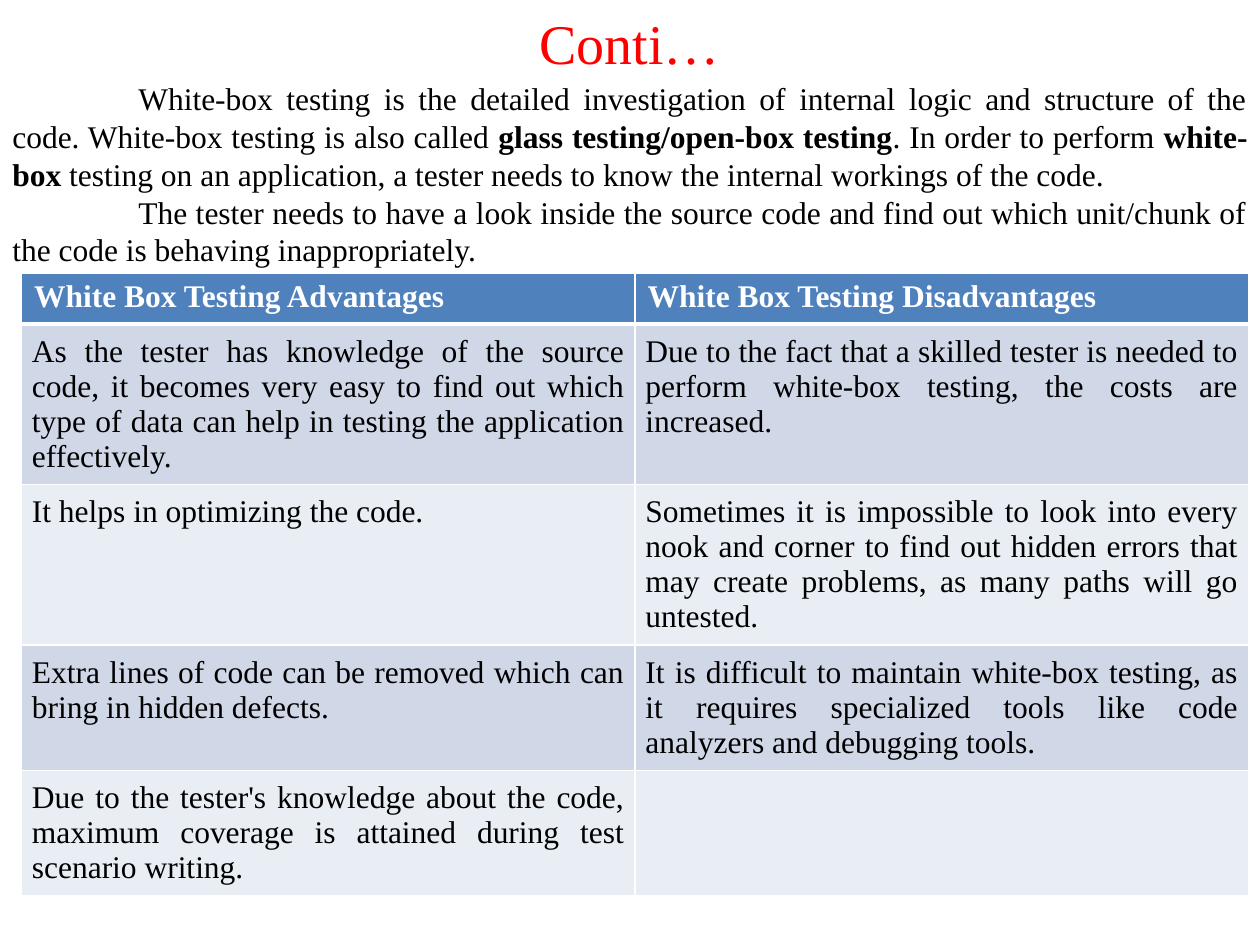
from pptx import Presentation
from pptx.dml.color import RGBColor
from pptx.enum.text import MSO_ANCHOR, MSO_AUTO_SIZE, PP_ALIGN
from pptx.oxml import parse_xml
from pptx.oxml.ns import nsdecls
from pptx.util import Inches, Pt

FONT = "Times New Roman"
COLORS = {
    "title": "FF0000",
    "text": "000000",
    "border": "FFFFFF",
    "header_text": "FFFFFF",
    "header": "4F81BD",
    "odd_row": "D0D8E8",
    "even_row": "E9EDF4",
}

TITLE = "Conti…"
# Paragraphs of (text, bold) runs
INTRO = [
    [
        ("\tWhite-box testing is the detailed investigation of internal logic and "
         "structure of the code. White-box testing is also called ", False),
        ("glass testing/open-box testing", True),
        (". In order to perform ", False),
        ("white-box", True),
        (" testing on an application, a tester needs to know the internal "
         "workings of the code.", False),
    ],
    [
        ("\tThe tester needs to have a look inside the source code and find out "
         "which unit/chunk of the code is behaving inappropriately.", False),
    ],
]
ROWS = [
    ("White Box Testing Advantages", "White Box Testing Disadvantages"),
    ("As the tester has knowledge of the source code, it becomes very easy to find "
     "out which type of data can help in testing the application effectively.",
     "Due to the fact that a skilled tester is needed to perform white-box testing, "
     "the costs are increased."),
    ("It helps in optimizing the code.",
     "Sometimes it is impossible to look into every nook and corner to find out "
     "hidden errors that may create problems, as many paths will go untested."),
    ("Extra lines of code can be removed which can bring in hidden defects.",
     "It is difficult to maintain white-box testing, as it requires specialized "
     "tools like code analyzers and debugging tools."),
    ("Due to the tester's knowledge about the code, maximum coverage is attained "
     "during test scenario writing.", ""),
]
COLUMN_WIDTH = 4.87
ROW_HEIGHT = 0.4
CELL_MARGIN = Pt(6)
TAB_WIDTH = 1


def add_run(paragraph, text, size, color, bold=False):
    run = paragraph.add_run()
    run.text = text
    run.font.name = FONT
    run.font.size = Pt(size)
    run.font.bold = bold
    run.font.color.rgb = RGBColor.from_string(COLORS[color])


def set_borders(cell, bottom_width):
    properties = cell._tc.get_or_add_tcPr()
    widths = {"lnL": 1, "lnR": 1, "lnT": 1, "lnB": bottom_width}
    for position, (side, width) in enumerate(widths.items()):
        properties.insert(position, parse_xml(
            f'<a:{side} {nsdecls("a")} w="{Pt(width)}"><a:solidFill>'
            f'<a:srgbClr val="{COLORS["border"]}"/></a:solidFill></a:{side}>'))


def add_title(slide):
    title = slide.shapes.title
    title.left, title.top = Inches(0.5), Inches(0)
    title.width, title.height = Inches(9), Inches(0.67)
    title.text_frame.vertical_anchor = MSO_ANCHOR.MIDDLE
    paragraph = title.text_frame.paragraphs[0]
    paragraph.alignment = PP_ALIGN.CENTER
    add_run(paragraph, TITLE, 32, "title")


def add_comparison(slide):
    table = slide.shapes.add_table(
        len(ROWS), 2, Inches(0.17), Inches(2.17),
        Inches(2 * COLUMN_WIDTH), Inches(len(ROWS) * ROW_HEIGHT)).table
    for column in table.columns:
        column.width = Inches(COLUMN_WIDTH)
    for row_index, texts in enumerate(ROWS):
        is_header = row_index == 0
        fill = "header" if is_header else ("odd_row" if row_index % 2 else "even_row")
        for column_index, text in enumerate(texts):
            cell = table.cell(row_index, column_index)
            cell.fill.solid()
            cell.fill.fore_color.rgb = RGBColor.from_string(COLORS[fill])
            set_borders(cell, 3 if is_header else 1)
            if not text:
                continue
            if not is_header:
                cell.margin_left = cell.margin_right = CELL_MARGIN
                cell.margin_top = cell.margin_bottom = CELL_MARGIN
            paragraph = cell.text_frame.paragraphs[0]
            paragraph.alignment = PP_ALIGN.JUSTIFY
            add_run(paragraph, text, 18, "header_text" if is_header else "text", is_header)


def add_intro(slide):
    box = slide.shapes.add_textbox(Inches(0), Inches(0.58), Inches(10), Inches(1.62))
    frame = box.text_frame
    frame.word_wrap = True
    frame.auto_size = MSO_AUTO_SIZE.SHAPE_TO_FIT_TEXT
    for index, runs in enumerate(INTRO):
        paragraph = frame.add_paragraph() if index else frame.paragraphs[0]
        paragraph.alignment = PP_ALIGN.JUSTIFY
        # The opening tab sets the first-line indent
        properties = paragraph._p.get_or_add_pPr()
        properties.append(parse_xml(
            f'<a:tabLst {nsdecls("a")}><a:tab pos="{Inches(TAB_WIDTH)}" algn="l"/></a:tabLst>'))
        for text, bold in runs:
            add_run(paragraph, text, 18, "text", bold)


def main():
    presentation = Presentation()
    presentation.slide_width, presentation.slide_height = Inches(10), Inches(7.5)
    slide = presentation.slides.add_slide(presentation.slide_layouts[5])
    add_title(slide)
    add_comparison(slide)
    add_intro(slide)
    presentation.save("out.pptx")


if __name__ == "__main__":
    main()
